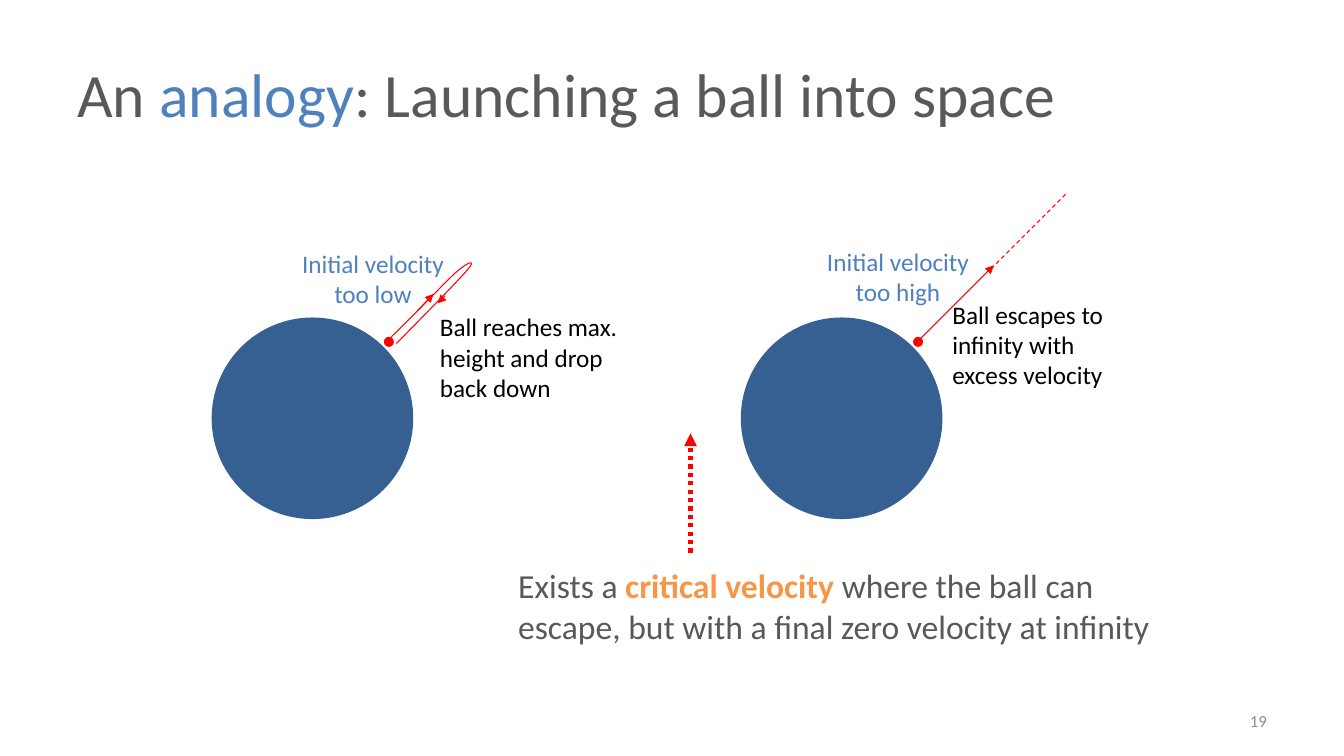
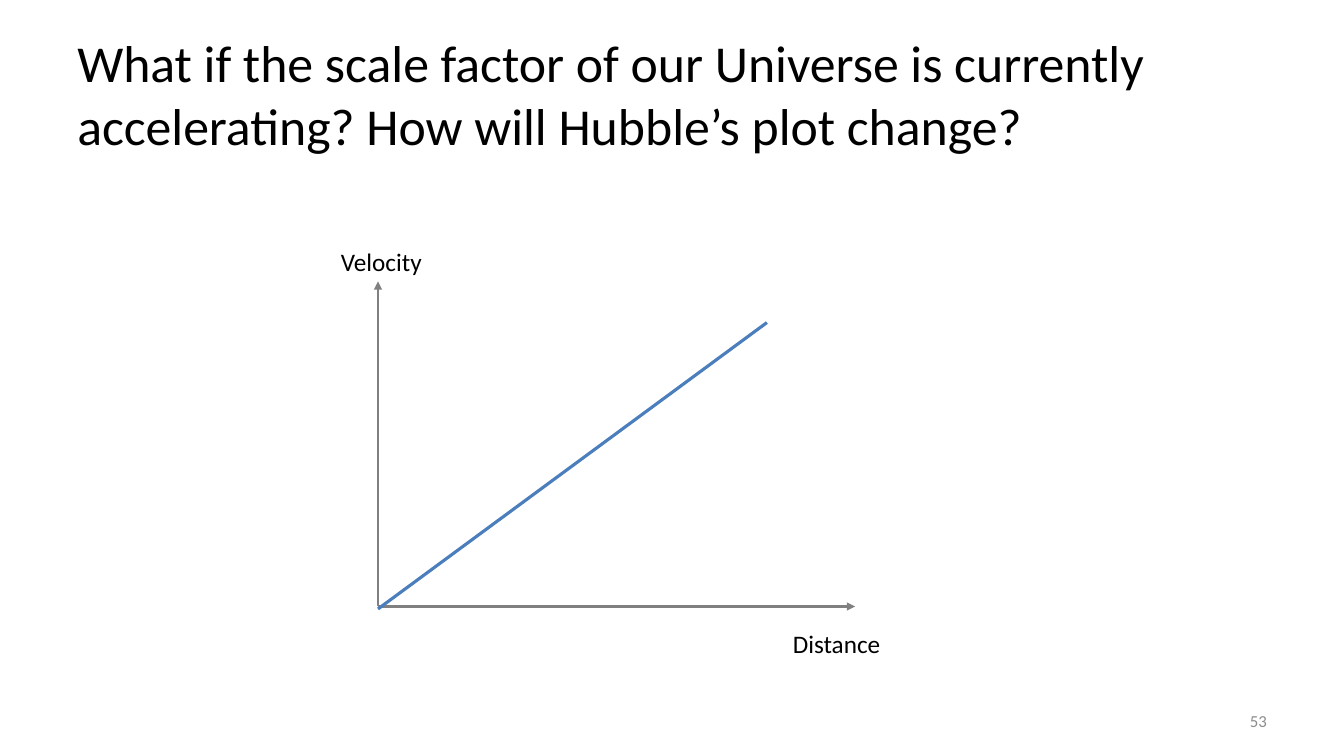
from pptx import Presentation
from pptx import util as u
from pptx.dml.color import RGBColor
from pptx.enum import dml, shapes, text
from pptx.oxml.ns import qn

# The slide is a grid of square cells, 160 columns by 90 rows; lengths below are in cells.
COLUMNS, ROWS = 160, 90
CELL = u.Inches(7.5) // ROWS

BLACK = RGBColor(0x00, 0x00, 0x00)
DARK_GRAY = RGBColor(0x59, 0x59, 0x59)
AXIS_GRAY = RGBColor(0x80, 0x80, 0x80)
NUMBER_GRAY = RGBColor(0x8C, 0x8C, 0x8C)
BLUE = RGBColor(0x4F, 0x81, 0xBD)
PLANET_BLUE = RGBColor(0x37, 0x60, 0x92)
PLOT_BLUE = RGBColor(0x4B, 0x7E, 0xBC)
ORANGE = RGBColor(0xF7, 0x96, 0x46)
RED = RGBColor(0xFF, 0x00, 0x00)
FONT = "Calibri"
LEFT, CENTER, RIGHT = text.PP_ALIGN.LEFT, text.PP_ALIGN.CENTER, text.PP_ALIGN.RIGHT


def write(frame, runs, size, align=LEFT, anchor=text.MSO_ANCHOR.TOP):
    """Fill a text frame with one paragraph of (wording, colour, bold) runs."""
    frame.word_wrap = True
    frame.auto_size = text.MSO_AUTO_SIZE.NONE
    frame.vertical_anchor = anchor
    paragraph = frame.paragraphs[0]
    paragraph.alignment = align
    for wording, color, bold in runs:
        run = paragraph.add_run()
        run.text = wording
        run.font.name, run.font.size, run.font.bold = FONT, u.Pt(size), bold
        run.font.color.rgb = color


def draw_line(canvas, ends, color, width, dash=None, arrow=True):
    """Draw a straight line between two grid points given as (x1, y1, x2, y2)."""
    line = canvas.add_connector(shapes.MSO_CONNECTOR.STRAIGHT, *(round(v * CELL) for v in ends))
    line.line.color.rgb = color
    line.line.width = u.Pt(width)
    if dash is not None:
        line.line.dash_style = dash
    properties = line._element.spPr
    if arrow:
        outline = properties.find(qn("a:ln"))
        outline.append(outline.makeelement(qn("a:tailEnd"), {"type": "triangle"}))
    properties.append(properties.makeelement(qn("a:effectLst"), {}))


deck = Presentation()
deck.slide_width, deck.slide_height = COLUMNS * CELL, ROWS * CELL

# Shared title place, title style and page number
layout = deck.slide_layouts[5]
layout_title = layout.placeholders[0]
layout_title.left, layout_title.top = 8 * CELL, round(3.6 * CELL)
layout_title.width, layout_title.height = 144 * CELL, 15 * CELL

pages = [
    (19, 44, [("An ", DARK_GRAY, False), ("analogy", BLUE, False),
              (": Launching a ball into space", DARK_GRAY, False)]),
    (53, 37, [("What if the scale factor of our Universe is currently accelerating? "
               "How will Hubble’s plot change?", BLACK, False)]),
]
for number, title_size, title_runs in pages:
    slide = deck.slides.add_slide(layout)
    write(slide.shapes.title.text_frame, title_runs, title_size, anchor=text.MSO_ANCHOR.MIDDLE)
    page_number = slide.shapes.add_textbox(
        *(round(v * CELL) for v in (114.7, 83.4, 37.3, 4.8)))
    write(page_number.text_frame, [(str(number), NUMBER_GRAY, False)], 12, RIGHT,
          text.MSO_ANCHOR.MIDDLE)
analogy, hubble = (slide.shapes for slide in deck.slides)

# Two launches: planet, ball, path and captions, placed from the planet's corner
PLANET_TOP, PLANET_SIZE, BALL_SIZE = 37.8, 24, 1.2
launches = [
    (25.2, "Initial velocity too low", (8.2, -8.8),
     "Ball reaches max. height and drop back down", (26, -1.3),
     [((53, 35.2, 52.1, 36.1), None), ((49.7, 37, 51.6, 35), None)]),
    (88.2, "Initial velocity too high", (7.7, -9.1),
     "Ball escapes to infinity with excess velocity", (24, -2.8),
     [((109.3, 40.6, 118.3, 31.6), None), ((118, 32, 127, 23), dml.MSO_LINE.DASH)]),
]
groups = []
for planet_left, speed, speed_shift, outcome, outcome_shift, flights in launches:
    launch = analogy.add_group_shape().shapes
    groups.append(launch)
    for dx, dy, size, color in [(0, 0, PLANET_SIZE, PLANET_BLUE), (20.5, 2.3, BALL_SIZE, RED)]:
        disc = launch.add_shape(
            shapes.MSO_SHAPE.OVAL,
            *(round(v * CELL) for v in (planet_left + dx, PLANET_TOP + dy, size, size)))
        disc.shadow.inherit = False
        disc.fill.solid()
        disc.fill.fore_color.rgb = color
        disc.line.fill.background()
    for ends, dash in flights:
        draw_line(launch, ends, RED, 0.75, dash, arrow=dash is None)
    for caption, (dx, dy), width, height, color, align in [
            (speed, speed_shift, 22, 8.5, BLUE, CENTER),
            (outcome, outcome_shift, 24, 12.1, BLACK, LEFT)]:
        box = launch.add_textbox(
            *(round(v * CELL) for v in (planet_left + dx, PLANET_TOP + dy, width, height)))
        write(box.text_frame, [(caption, color, False)], 18, align)

# Up-and-down path of the slow ball, sampled from three Bézier arcs
STEPS = 16
start = (46.4, 40.3)
arcs = [
    ((49.7, 37.1), (52.8, 33.8), (54.2, 32.5)),
    ((55.8, 31.1), (56.8, 30.8), (55.6, 32.2)),
    ((54.4, 33.6), (47.2, 40.9), (47.2, 40.9)),
]
trail = [start]
for arc in arcs:
    controls = (trail[-1], *arc)
    for step in range(1, STEPS + 1):
        t = step / STEPS
        weights = ((1 - t) ** 3, 3 * t * (1 - t) ** 2, 3 * t ** 2 * (1 - t), t ** 3)
        trail.append(tuple(sum(w * c[axis] for w, c in zip(weights, controls))
                           for axis in (0, 1)))
trail = [(round(x * CELL), round(y * CELL)) for x, y in trail]
builder = groups[0].build_freeform(*trail[0])
builder.add_line_segments(trail[1:], close=False)
fall_back = builder.convert_to_shape()
fall_back.shadow.inherit = False
fall_back.fill.background()
fall_back.line.color.rgb = RED
fall_back.line.width = u.Pt(0.75)

# Critical case between the two launches
draw_line(analogy, (82.2, 65.8, 82.2, 51.6), RED, 3, dml.MSO_LINE.ROUND_DOT)
critical = analogy.add_textbox(*(round(v * CELL) for v in (60.5, 66.7, 79.1, 10.9)))
write(critical.text_frame, [
    ("Exists a ", DARK_GRAY, False),
    ("critical velocity ", ORANGE, True),
    ("where the ball can escape, but with a final zero velocity at infinity", DARK_GRAY, False),
], 24)

# Hubble's plot: two axes, their names and the straight relation
ORIGIN_X, ORIGIN_Y = 45, 72.2
for axis_end in [(ORIGIN_X, 33.5), (101.8, ORIGIN_Y)]:
    draw_line(hubble, (ORIGIN_X, ORIGIN_Y, *axis_end), AXIS_GRAY, 1.5)
for quantity, left, top in [("Distance", 93.2, 74.2), ("Velocity", 39.4, 28.7)]:
    axis_name = hubble.add_textbox(*(round(v * CELL) for v in (left, top, 23.6, 4.8)))
    write(axis_name.text_frame, [(quantity, BLACK, False)], 18)
draw_line(hubble, (ORIGIN_X, 72.5, 91.3, 38.4), PLOT_BLUE, 2.25, arrow=False)

deck.save("out.pptx")
